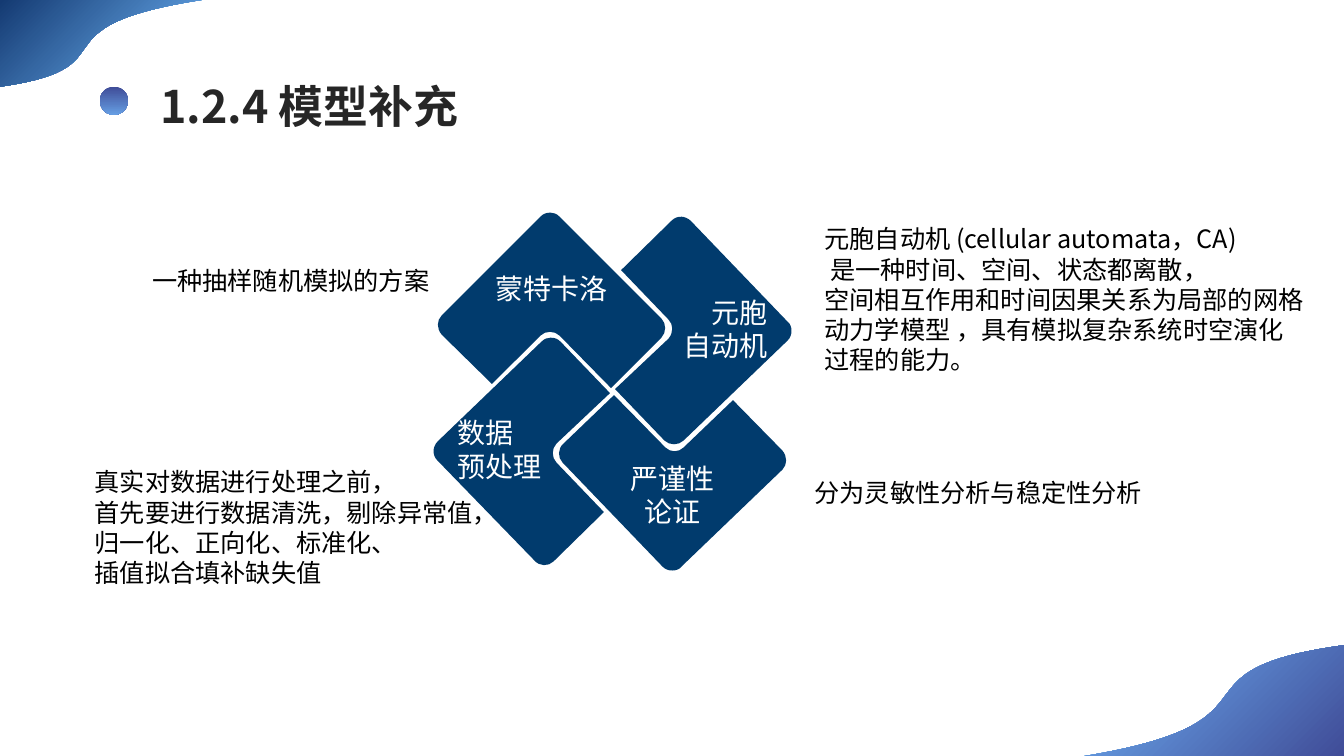
from dataclasses import dataclass

from lxml import etree
from pptx import Presentation
from pptx.dml.color import RGBColor
from pptx.enum.shapes import MSO_SHAPE
from pptx.enum.text import MSO_ANCHOR, MSO_AUTO_SIZE, PP_ALIGN
from pptx.oxml.ns import qn
from pptx.util import Inches, Pt

OVAL = MSO_SHAPE.OVAL
MIDDLE = MSO_ANCHOR.MIDDLE
FIT_SHAPE = MSO_AUTO_SIZE.SHAPE_TO_FIT_TEXT
LEFT, CENTER, RIGHT = PP_ALIGN.LEFT, PP_ALIGN.CENTER, PP_ALIGN.RIGHT


@dataclass(frozen=True)
class TextStyle:
    size: float
    line: float
    color: str
    bold: bool = False


@dataclass(frozen=True)
class Theme:
    font: str = "Noto Sans CJK SC"
    navy: str = "013B6D"
    bullet: tuple = ("3F4C97", "669EE3")
    top_wave: tuple = ("73BAFD", "143A72")
    bottom_wave: tuple = ("73BAFD", "3F4B96")
    title: TextStyle = TextStyle(32, 38.5, "262626", True)
    label: TextStyle = TextStyle(20, 24, "FFFFFF")
    note: TextStyle = TextStyle(18, 21.6, "000000")


THEME = Theme()

# Outlines: a pair is a straight step, six numbers are a cubic curve.
TOP_WAVE = [(0, 0), (2, 0), (0.26, 0.27, 1.35, 0.67, 0, 0.86)]
BOTTOM_WAVE = [(13.34, 7.54), (10.5, 7.54), (12.97, 7.19, 11.42, 6.66, 13.34, 6.4)]

# Label lines, alignment, insets (left, top, right, bottom), outline.
TILES = [
    (["蒙特卡洛"], CENTER, (0, 0, 0, 0.24), [
        (5.46, 2.11), (5.49, 2.11, 5.52, 2.12, 5.55, 2.15),
        (6.56, 3.16), (6.61, 3.21, 6.61, 3.3, 6.56, 3.35),
        (6.06, 3.85), (5.55, 3.33), (5.5, 3.28, 5.41, 3.28, 5.36, 3.33),
        (4.88, 3.81), (4.38, 3.32), (4.33, 3.26, 4.33, 3.18, 4.38, 3.13),
        (5.36, 2.15), (5.39, 2.12, 5.42, 2.11, 5.46, 2.11)]),
    (["元胞", "自动机"], RIGHT, (0, 0, 0.24, 0), [
        (6.76, 2.15), (6.79, 2.15, 6.83, 2.17, 6.85, 2.19),
        (7.81, 3.19), (7.84, 3.21, 7.85, 3.25, 7.85, 3.28),
        (7.85, 3.32, 7.84, 3.35, 7.81, 3.38),
        (6.78, 4.37), (6.73, 4.42, 6.64, 4.42, 6.59, 4.37),
        (6.1, 3.86), (6.63, 3.36), (6.68, 3.3, 6.68, 3.22, 6.63, 3.17),
        (6.16, 2.68), (6.66, 2.19), (6.69, 2.16, 6.72, 2.15, 6.76, 2.15)]),
    (["严谨性", "论证"], CENTER, (0, 0.24, 0, 0), [
        (6.09, 3.92), (6.6, 4.44), (6.65, 4.49, 6.73, 4.49, 6.78, 4.44),
        (7.27, 3.97), (7.76, 4.47), (7.81, 4.53, 7.81, 4.61, 7.76, 4.66),
        (6.76, 5.62), (6.74, 5.65, 6.7, 5.66, 6.67, 5.66),
        (6.63, 5.66, 6.6, 5.65, 6.57, 5.62),
        (5.58, 4.59), (5.53, 4.54, 5.53, 4.45, 5.59, 4.4)]),
    (["数据", "预处理"], LEFT, (0.24, 0, 0, 0), [
        (5.46, 3.35), (5.5, 3.35, 5.53, 3.36, 5.56, 3.39),
        (6.05, 3.9), (5.52, 4.4), (5.47, 4.45, 5.47, 4.54, 5.52, 4.59),
        (5.99, 5.08), (5.49, 5.57), (5.44, 5.62, 5.35, 5.62, 5.3, 5.56),
        (4.34, 4.57), (4.31, 4.54, 4.3, 4.51, 4.3, 4.47),
        (4.3, 4.44, 4.32, 4.4, 4.34, 4.38),
        (5.37, 3.39), (5.4, 3.36, 5.43, 3.35, 5.46, 3.35)]),
]

NOTES = [
    ((1.41, 2.58, 2.98, 0.4), ["一种抽样随机模拟的方案"]),
    ((0.84, 4.58, 4.24, 1.31), [
        "真实对数据进行处理之前，", "首先要进行数据清洗，剔除异常值，",
        "归一化、正向化、标准化、", "插值拟合填补缺失值"]),
    ((7.98, 4.69, 3.61, 0.4), ["分为灵敏性分析与稳定性分析"]),
    ((8.08, 2.17, 5, 1.62), [
        "元胞自动机 (cellular automata，CA)", " 是一种时间、空间、状态都离散，",
        "空间相互作用和时间因果关系为局部的网格",
        "动力学模型 ，具有模拟复杂系统时空演化", "过程的能力。"]),
]


def write_lines(frame, lines, style, align=LEFT):
    for index, line in enumerate(lines):
        para = frame.paragraphs[0] if index == 0 else frame.add_paragraph()
        para.text = line
        para.alignment = align
        para.line_spacing = Pt(style.line)
        font = para.font
        font.size = Pt(style.size)
        font.bold = style.bold
        font.color.rgb = RGBColor.from_string(style.color)
        font.name = THEME.font
        defaults = para._p.pPr.find(qn("a:defRPr"))
        etree.SubElement(defaults, qn("a:ea"), typeface=THEME.font)


def add_text(page, area, lines, style):
    box = page.shapes.add_textbox(*map(Inches, area))
    frame = box.text_frame
    frame.word_wrap = False
    write_lines(frame, lines, style)
    return frame


def add_outline(page, outline):
    """Build a freeform through the step ends, then bend its curved steps."""
    start, *ends = [tuple(map(Inches, step[-2:])) for step in outline]
    builder = page.shapes.build_freeform(*start, scale=1.0)
    builder.add_line_segments(ends, close=True)
    shape = builder.convert_to_shape()
    segments = list(shape._element.iter(qn("a:lnTo")))
    for segment, step in zip(segments, outline[1:]):
        if len(step) == 6:
            bend_segment(segment, step, shape.left, shape.top)
    return make_plain(shape)


def bend_segment(segment, step, left, top):
    curve = etree.Element(qn("a:cubicBezTo"))
    for x, y in zip(step[::2], step[1::2]):
        etree.SubElement(curve, qn("a:pt"),
                         x=str(Inches(x) - left), y=str(Inches(y) - top))
    segment.getparent().replace(segment, curve)


def make_plain(shape):
    shape.shadow.inherit = False
    shape.line.fill.background()
    return shape


def fill_gradient(shape, colors, angle):
    """Fill from the first colour to the second, angle counter-clockwise."""
    shape.fill.gradient()
    shape.fill.gradient_angle = angle
    for stop, color in zip(shape.fill.gradient_stops, colors):
        stop.color.rgb = RGBColor.from_string(color)


def add_tile(page, lines, align, insets, outline):
    tile = add_outline(page, outline)
    tile.fill.solid()
    tile.fill.fore_color.rgb = RGBColor.from_string(THEME.navy)
    frame = tile.text_frame
    frame.word_wrap = True
    frame.vertical_anchor = MIDDLE
    (frame.margin_left, frame.margin_top,
     frame.margin_right, frame.margin_bottom) = map(Inches, insets)
    write_lines(frame, lines, THEME.label, align)


def main():
    deck = Presentation()
    deck.slide_width, deck.slide_height = Inches(13.33), Inches(7.5)
    page = deck.slides.add_slide(deck.slide_layouts[6])

    add_text(page, (1.49, 0.73, 4.2, 0.52), ["1.2.4 模型补充"], THEME.title)
    bullet = page.shapes.add_shape(OVAL, *map(Inches, (0.99, 0.86, 0.28, 0.28)))
    fill_gradient(make_plain(bullet), THEME.bullet, 270)
    fill_gradient(add_outline(page, BOTTOM_WAVE), THEME.bottom_wave, 315)
    fill_gradient(add_outline(page, TOP_WAVE), THEME.top_wave, 135)

    for tile in TILES:
        add_tile(page, *tile)
    for area, lines in NOTES:
        add_text(page, area, lines, THEME.note).auto_size = FIT_SHAPE

    deck.save("out.pptx")


if __name__ == "__main__":
    main()
